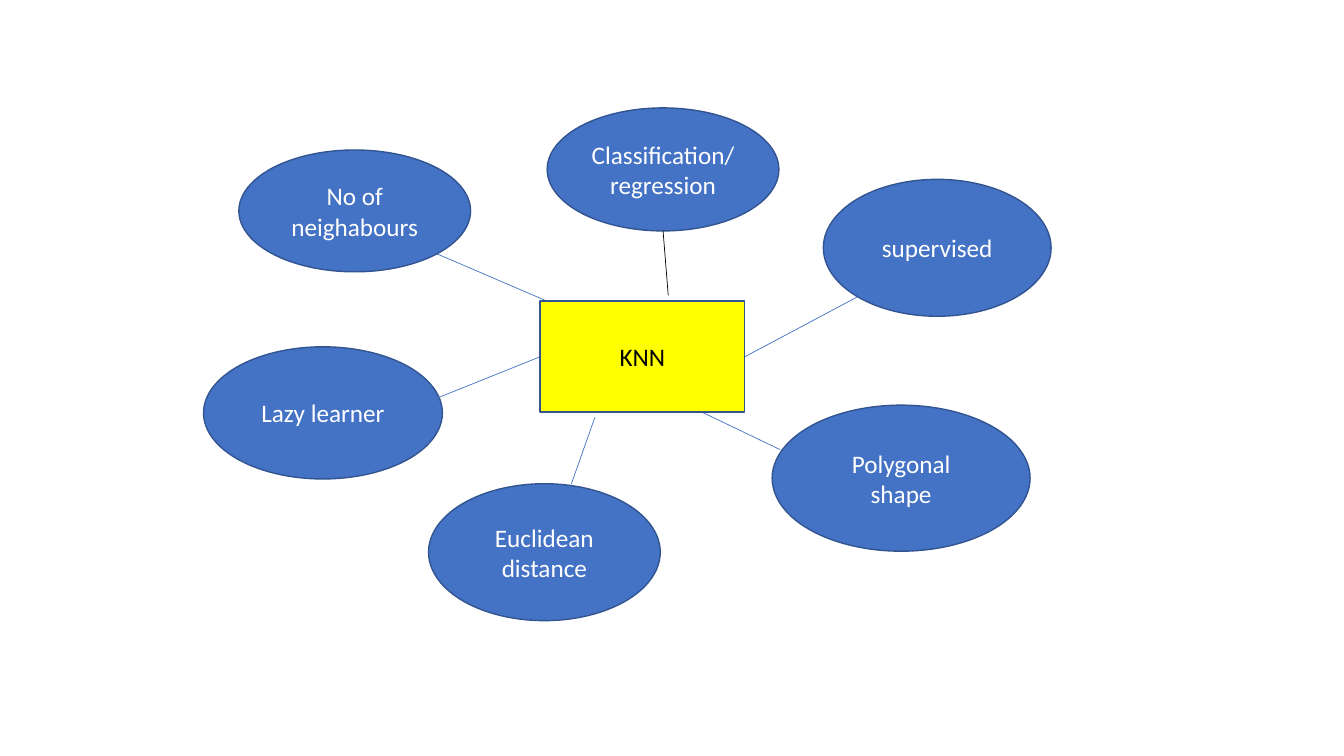
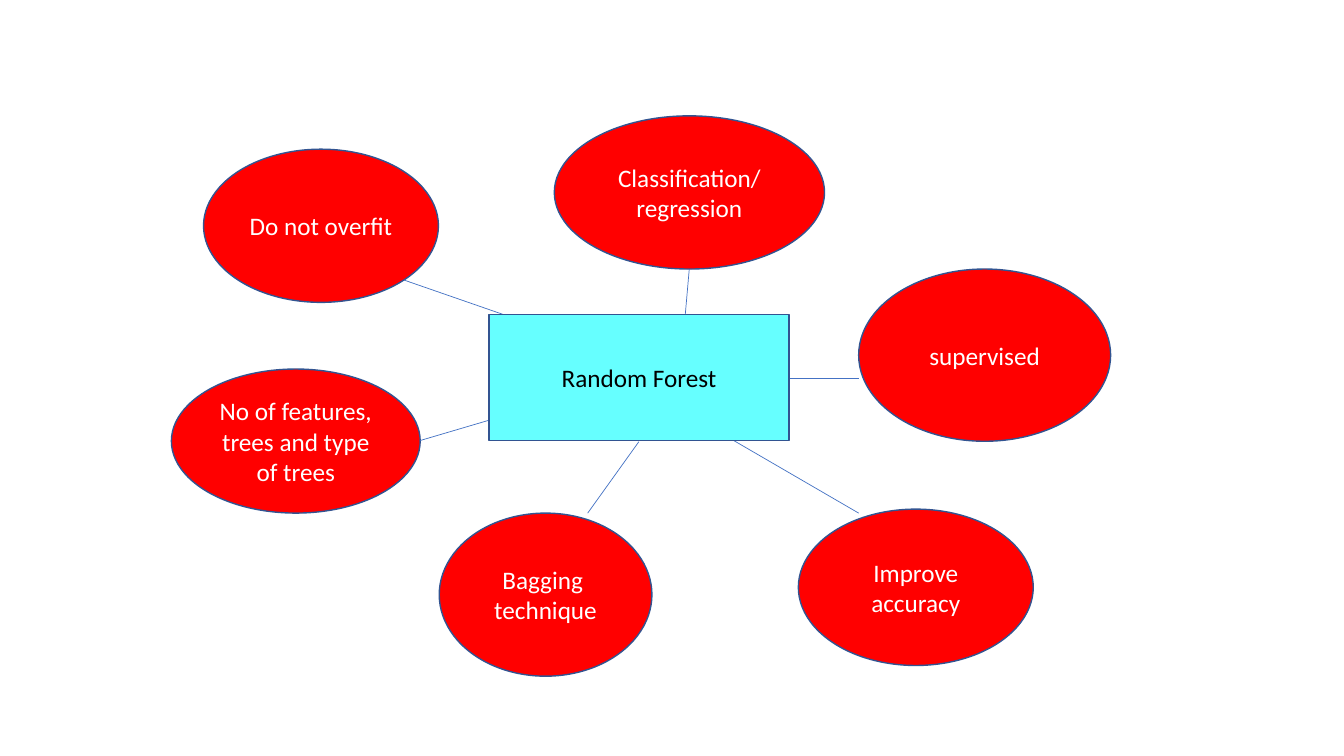
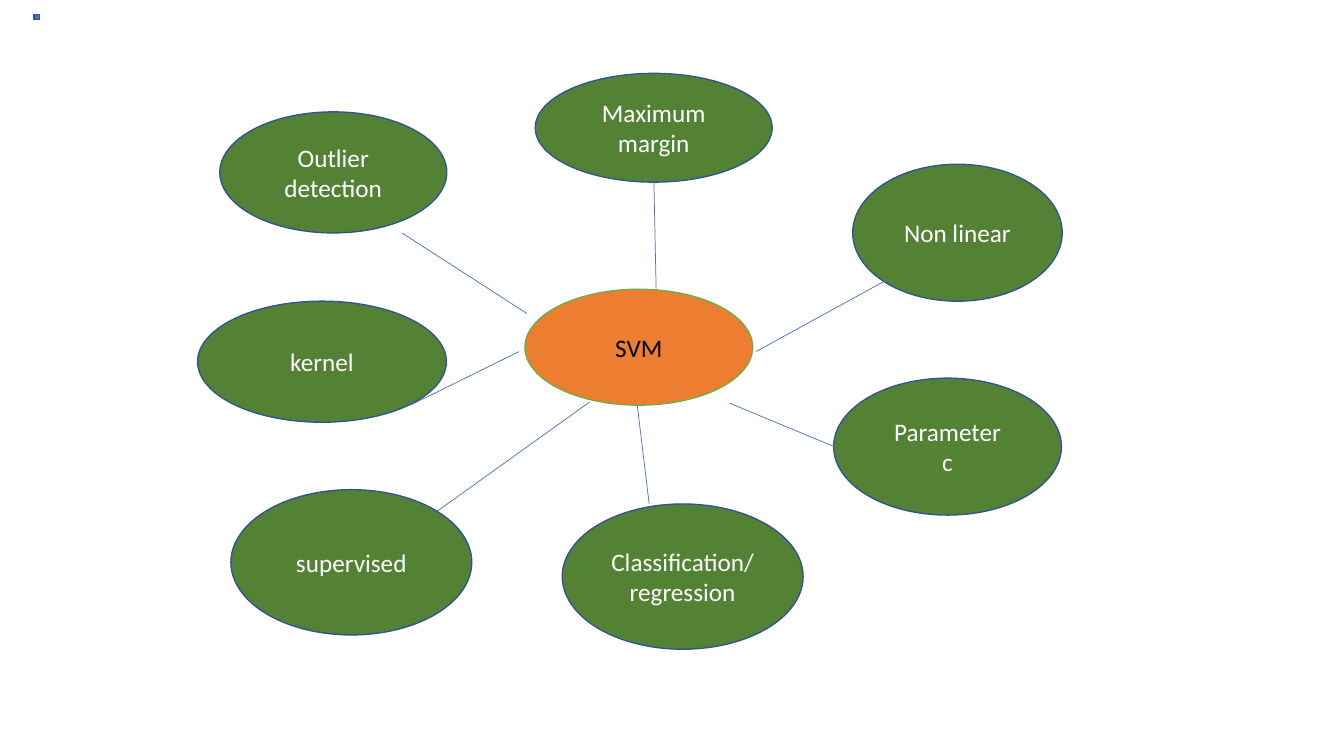
from lxml import etree
from pptx import Presentation
from pptx.dml.color import RGBColor
from pptx.enum.shapes import MSO_CONNECTOR, MSO_SHAPE
from pptx.enum.text import MSO_ANCHOR, PP_ALIGN
from pptx.oxml.ns import qn
from pptx.util import Cm, Pt

RECTANGLE = MSO_SHAPE.RECTANGLE
ELLIPSE = MSO_SHAPE.OVAL
STRAIGHT = MSO_CONNECTOR.STRAIGHT
MIDDLE = MSO_ANCHOR.MIDDLE
CENTER = PP_ALIGN.CENTER

FONT = "Calibri"
TEXT_SIZE = 18
BLACK = "000000"
WHITE = "FFFFFF"
BLUE = "4472C4"
OUTLINE = "325491"
RED = "FF0000"
DARK_GREEN = "548235"
LIGHT_GREEN = "70AD47"
YELLOW = "FFFF00"
CYAN = "66FFFF"
ORANGE = "ED7D31"

KNN_TOPICS = [
    (["Classification/", "regression"], (13.79, 2.72, 5.84, 3.1)),
    (["supervised"], (20.75, 4.52, 5.74, 3.45)),
    (["Polygonal shape"], (19.46, 10.21, 6.5, 3.68)),
    (["Euclidean distance"], (10.8, 12.19, 5.84, 3.45)),
    (["Lazy learner"], (5.13, 8.74, 6.02, 3.33)),
    (["No of neighabours"], (6.02, 3.78, 5.84, 3.07)),
]
KNN_SPOKES = [
    (11.02, 6.4, 13.79, 7.59),
    (18.77, 8.99, 21.59, 7.49),
    (17.7, 10.39, 19.66, 11.33),
    (14.99, 10.52, 14.4, 12.19),
    (11.02, 10.03, 13.61, 8.99),
]
KNN_BLACK_SPOKE = (16.71, 5.82, 16.84, 7.44)

FOREST_TOPICS = [
    (["Classification/", "regression"], (13.97, 2.92, 6.81, 3.86)),
    (["supervised"], (21.64, 6.78, 6.35, 4.34)),
    (["Improve accuracy"], (20.12, 12.83, 5.92, 3.94)),
    (["Bagging ", "technique"], (11.07, 12.93, 5.36, 4.11)),
    (["No of features, trees and type of trees"], (4.32, 9.3, 6.27, 3.63)),
    (["Do not overfit"], (5.13, 3.76, 5.92, 3.86)),
]
FOREST_SPOKES = [
    (17.37, 6.78, 17.27, 7.92),
    (10.19, 7.06, 12.67, 7.92),
    (10.59, 11.1, 12.32, 10.59),
    (14.81, 12.93, 16.1, 11.13),
    (18.49, 11.1, 21.64, 12.93),
    (19.89, 9.53, 21.64, 9.53),
]

SVM_TOPICS = [
    (["Maximum margin"], (13.49, 1.85, 5.97, 2.74)),
    (["Non linear"], (21.49, 4.14, 5.28, 3.45)),
    (["Parameter", "c"], (21.01, 9.53, 5.74, 3.45)),
    (["Classification/", "regression"], (14.17, 12.7, 6.07, 3.66)),
    (["supervised"], (5.82, 12.34, 6.07, 3.66)),
    (["kernel"], (4.98, 7.59, 6.27, 3.05)),
    (["Outlier detection"], (5.54, 2.82, 5.72, 3.05)),
]
SVM_SPOKES = [
    (10.13, 5.87, 13.28, 7.9),
    (19.05, 8.86, 22.28, 7.09),
    (18.39, 10.16, 21.01, 11.25),
    (16.05, 10.13, 16.36, 12.7),
    (11.02, 12.88, 14.86, 10.13),
    (10.34, 10.21, 13.08, 8.86),
    (16.48, 4.6, 16.54, 7.52),
]


def color(hex_code):
    return RGBColor.from_string(hex_code)


def add_node(slide, kind, box, fill, outline=OUTLINE, lines=(), text_color=WHITE):
    node = slide.shapes.add_shape(kind, *map(Cm, box))
    node.shadow.inherit = False
    node.fill.solid()
    node.fill.fore_color.rgb = color(fill)
    node.line.color.rgb = color(outline)
    node.line.width = Pt(1)
    frame = node.text_frame
    frame.word_wrap = True
    frame.vertical_anchor = MIDDLE
    for index, line in enumerate(lines):
        paragraph = frame.add_paragraph() if index else frame.paragraphs[0]
        paragraph.alignment = CENTER
        run = paragraph.add_run()
        run.text = line
        run.font.name = FONT
        run.font.size = Pt(TEXT_SIZE)
        run.font.color.rgb = color(text_color)


def add_spoke(slide, ends, line_color=BLUE):
    spoke = slide.shapes.add_connector(STRAIGHT, *map(Cm, ends))
    spoke.line.color.rgb = color(line_color)
    spoke.line.width = Pt(0.5)
    etree.SubElement(spoke._element.spPr, qn("a:effectLst"))


def add_mind_map(deck, topics, topic_fill, spokes):
    slide = deck.slides.add_slide(deck.slide_layouts[6])
    for lines, box in topics:
        add_node(slide, ELLIPSE, box, topic_fill, lines=lines)
    for ends in spokes:
        add_spoke(slide, ends)
    return slide


def add_hub(slide, kind, name, box, fill, outline=OUTLINE):
    add_node(slide, kind, box, fill, outline, [name], BLACK)


def main():
    deck = Presentation()
    deck.slide_width = Cm(33.87)
    deck.slide_height = Cm(19.05)

    knn = add_mind_map(deck, KNN_TOPICS, BLUE, KNN_SPOKES)
    add_spoke(knn, KNN_BLACK_SPOKE, BLACK)
    add_hub(knn, RECTANGLE, "KNN", (13.61, 7.59, 5.16, 2.79), YELLOW)

    forest = add_mind_map(deck, FOREST_TOPICS, RED, FOREST_SPOKES)
    add_hub(forest, RECTANGLE, "Random Forest", (12.32, 7.92, 7.57, 3.18), CYAN)

    svm = add_mind_map(deck, SVM_TOPICS, DARK_GREEN, SVM_SPOKES)
    add_node(svm, RECTANGLE, (0.86, 0.36, 0.13, 0.13), BLUE)
    add_hub(svm, ELLIPSE, "SVM", (13.23, 7.29, 5.74, 2.92), ORANGE, LIGHT_GREEN)

    deck.save("out.pptx")


if __name__ == "__main__":
    main()
